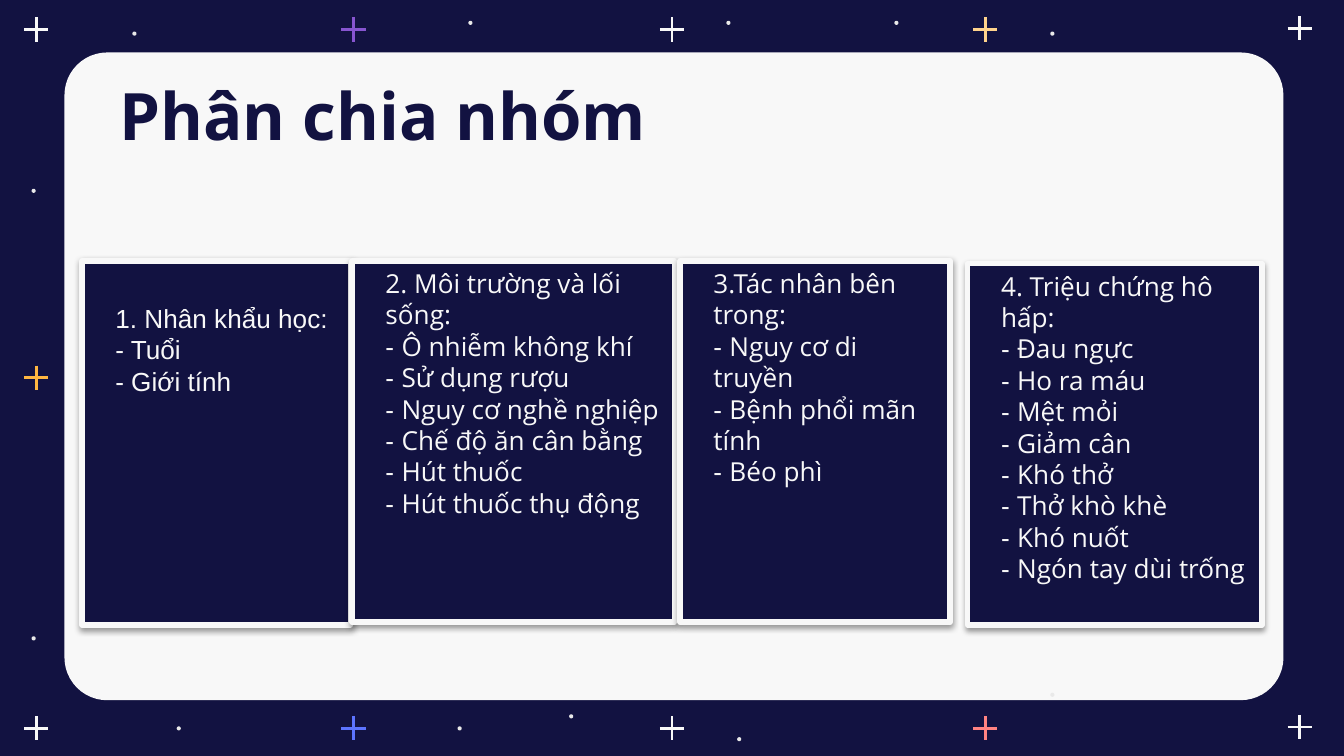
from lxml.etree import SubElement
from pptx import Presentation
from pptx.dml.color import RGBColor
from pptx.enum.shapes import MSO_CONNECTOR, MSO_SHAPE
from pptx.enum.text import MSO_ANCHOR, PP_ALIGN
from pptx.oxml.ns import qn
from pptx.util import Inches, Pt

COLORS = {
    "navy": "121241", "white": "F8F8F8", "dot": "E9E9E9", "purple": "8755D0",
    "blue": "5D74FF", "orange": "FFB641", "yellow": "FFD38C", "coral": "FF8382",
}
TITLE = "Phân chia nhóm"
CARDS = [
    {"at": (0.61, 1.94, 2, 2.71), "font": "Arial", "top": 0.31,
     "heading": "1. Nhân khẩu học:", "items": ["Tuổi", "Giới tính"]},
    {"at": (2.62, 1.94, 2.4, 2.69), "font": "Open Sans", "top": 0.05,
     "heading": "2. Môi trường và lối sống:",
     "items": ["Ô nhiễm không khí", "Sử dụng rượu", "Nguy cơ nghề nghiệp",
               "Chế độ ăn cân bằng", "Hút thuốc", "Hút thuốc thụ động"]},
    {"at": (5.06, 1.94, 2.01, 2.69), "font": "Open Sans", "top": 0.05,
     "heading": "3.Tác nhân bên trong:",
     "items": ["Nguy cơ di truyền", "Bệnh phổi mãn tính", "Béo phì"]},
    {"at": (7.2, 1.96, 2.19, 2.69), "font": "Open Sans", "top": 0.05,
     "heading": "4. Triệu chứng hô hấp:",
     "items": ["Đau ngực", "Ho ra máu", "Mệt mỏi", "Giảm cân", "Khó thở",
               "Thở khò khè", "Khó nuốt", "Ngón tay dùi trống"]},
]
STARS = [
    (0.27, 0.22, "white"), (2.63, 0.22, "purple"), (5, 0.22, "white"),
    (7.33, 0.22, "yellow"), (9.67, 0.21, "white"), (0.27, 2.81, "orange"),
    (0.27, 5.42, "white"), (2.63, 5.42, "blue"), (5, 5.42, "white"),
    (7.33, 5.42, "coral"), (9.67, 5.41, "white"),
]
DOTS = [
    (0.99, 0.24), (3.49, 0.16), (5.41, 0.16), (6.66, 0.16), (7.82, 0.24),
    (0.24, 1.41), (0.24, 4.74), (1.32, 5.41), (3.41, 5.41), (4.24, 5.32),
    (5.49, 5.49), (7.82, 5.16),
]
STAR_ARM = 0.09
DOT_SIZE = 0.02


def color(name):
    return RGBColor.from_string(COLORS[name])


def add_block(page, kind, at, fill, line=None, width=0.75):
    block = page.shapes.add_shape(kind, *map(Inches, at))
    block.shadow.inherit = False
    block.fill.solid()
    block.fill.fore_color.rgb = color(fill)
    if line:
        block.line.color.rgb = color(line)
        block.line.width = Pt(width)
    else:
        block.line.fill.background()
    return block


def add_star(page, x, y, name):
    for dx, dy in ((0, STAR_ARM), (STAR_ARM, 0)):
        arm = page.shapes.add_connector(
            MSO_CONNECTOR.STRAIGHT,
            *map(Inches, (x - dx, y - dy, x + dx, y + dy)))
        arm.line.color.rgb = color(name)
        arm.line.width = Pt(1.5)
        SubElement(arm.element.spPr, qn("a:effectLst"))


def add_shadow(block):
    effects = block.element.spPr.find(qn("a:effectLst"))
    shadow = SubElement(effects, qn("a:outerShdw"), blurRad="40000",
                        dist="20000", dir="5400000", rotWithShape="0")
    black = SubElement(shadow, qn("a:srgbClr"), val="000000")
    SubElement(black, qn("a:alpha"), val="38000")


def set_frame(box, anchor, side, top):
    frame = box.text_frame
    frame.word_wrap = True
    frame.vertical_anchor = anchor
    frame.margin_left = frame.margin_right = Inches(side)
    frame.margin_top = frame.margin_bottom = Inches(top)
    return frame


def add_span(paragraph, text, font="Open Sans", size=14, fill="white", bold=False):
    span = paragraph.add_run()
    span.text = text
    span.font.name = font
    span.font.size = Pt(size)
    span.font.bold = bold
    span.font.color.rgb = color(fill)


def add_card(page, card):
    box = add_block(page, MSO_SHAPE.RECTANGLE, card["at"], "navy", "white", 3)
    add_shadow(box)
    frame = set_frame(box, MSO_ANCHOR.TOP, 0.1, card["top"])
    lines = [[(card["heading"], card["font"])]]
    lines += [[("- ", "Arial"), (item, card["font"])] for item in card["items"]]
    for index, spans in enumerate(lines):
        paragraph = frame.add_paragraph() if index else frame.paragraphs[0]
        paragraph.alignment = PP_ALIGN.LEFT
        paragraph.line_spacing = Pt(16.8)
        paragraph._p.get_or_add_pPr().set("marL", str(Inches(0.15)))
        for text, font in spans:
            add_span(paragraph, text, font=font)


def main():
    deck = Presentation()
    deck.slide_width = Inches(10)
    deck.slide_height = deck.slide_width * 9 // 16
    page = deck.slides.add_slide(deck.slide_layouts[6])
    page.background.fill.solid()
    page.background.fill.fore_color.rgb = color("navy")

    panel = add_block(page, MSO_SHAPE.ROUNDED_RECTANGLE,
                      (0.48, 0.39, 9.07, 4.82), "white")
    panel.adjustments[0] = 0.066
    for x, y in DOTS:
        add_block(page, MSO_SHAPE.OVAL, (x, y, DOT_SIZE, DOT_SIZE), "dot", "dot")
    for star in STARS:
        add_star(page, *star)

    title = page.shapes.add_textbox(*map(Inches, (0.79, 0.59, 5.59, 0.52)))
    frame = set_frame(title, MSO_ANCHOR.MIDDLE, 0.1, 0.1)
    add_span(frame.paragraphs[0], TITLE, size=35, fill="navy", bold=True)
    for card in CARDS:
        add_card(page, card)
    deck.save("out.pptx")


if __name__ == "__main__":
    main()
